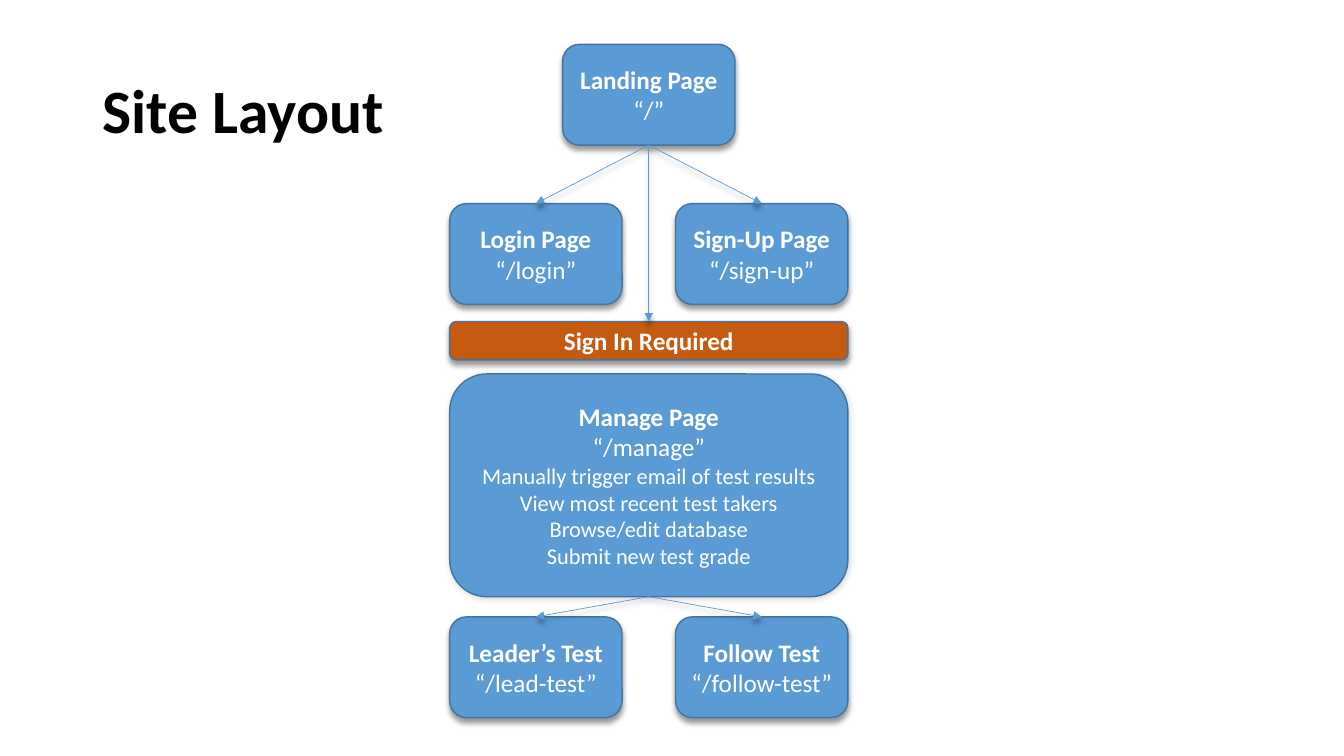
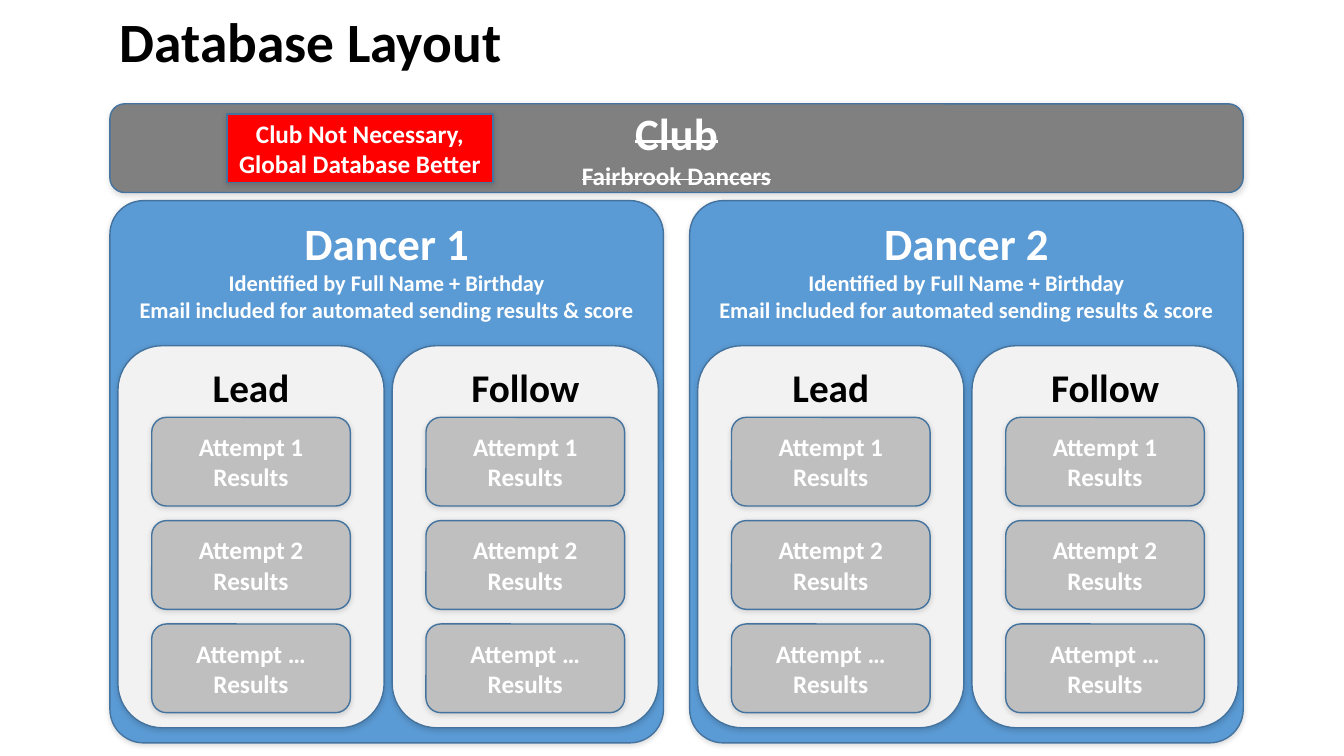
from lxml.etree import SubElement
from pptx import Presentation
from pptx.dml.color import RGBColor
from pptx.enum.shapes import MSO_CONNECTOR, MSO_SHAPE
from pptx.enum.text import MSO_ANCHOR, PP_ALIGN
from pptx.oxml.ns import qn
from pptx.util import Inches, Pt

BLUE = RGBColor(0x5B, 0x9B, 0xD5)
OUTLINE = RGBColor(0x43, 0x73, 0x9E)
ORANGE = RGBColor(0xC5, 0x5A, 0x11)
RED = RGBColor(0xFF, 0x00, 0x00)
DARK_GREY = RGBColor(0x80, 0x80, 0x80)
MID_GREY = RGBColor(0xBF, 0xBF, 0xBF)
PALE_GREY = RGBColor(0xF2, 0xF2, 0xF2)
WHITE = RGBColor(0xFF, 0xFF, 0xFF)
BLACK = RGBColor(0x00, 0x00, 0x00)

FONT = "Calibri"
SOFT = {"opacity": 15, "distance": 1}
STRONG = {"opacity": 40, "distance": 3}
BOTTOM_SITE, TOP_SITE = 2, 0

# Site layout grid: two columns of page boxes
SITE_LEFT, SITE_PITCH = 4.46, 2.24
PAGE_WIDTH, PAGE_HEIGHT = 1.71, 1
SITE_WIDTH = SITE_PITCH + PAGE_WIDTH

# Database grid: dancers hold roles, roles hold attempts
DANCER_LEFT, DANCER_TOP, DANCER_PITCH = 1.09, 1.99, 5.75
DANCER_WIDTH, DANCER_HEIGHT = 5.49, 5.38
ROLE_INSET, ROLE_TOP, ROLE_PITCH = 0.08, 3.43, 2.72
ROLE_WIDTH, ROLE_HEIGHT = 2.64, 3.79
ATTEMPT_WIDTH, ATTEMPT_HEIGHT = 1.97, 0.88
ATTEMPT_TOP, ATTEMPT_PITCH = 4.14, 1.025
ATTEMPT_INSET = (ROLE_WIDTH - ATTEMPT_WIDTH) / 2


def add_shadow(item, opacity, distance):
    """Give a shape or connector a black shadow straight below it."""
    properties = item._element.spPr
    effects = properties.find(qn("a:effectLst"))
    if effects is None:
        effects = SubElement(properties, qn("a:effectLst"))
    shadow = SubElement(effects, qn("a:outerShdw"), {
        "blurRad": str(Pt(4)), "dist": str(Pt(distance)),
        "dir": "5400000", "rotWithShape": "0"})
    colour = SubElement(shadow, qn("a:srgbClr"), val="000000")
    SubElement(colour, qn("a:alpha"), val=str(opacity * 1000))


def write_lines(frame, lines, color, align, spacing=None):
    """Write (text, size, bold) lines, one paragraph each."""
    for index, (text, size, bold) in enumerate(lines):
        para = frame.add_paragraph() if index else frame.paragraphs[0]
        para.alignment = align
        para.line_spacing = spacing
        span = para.add_run()
        span.text = text
        span.font.color.rgb = color
        for name, value in {"name": FONT, "size": Pt(size), "bold": bold}.items():
            setattr(span.font, name, value)


def add_title(page, text, left, top, height, size):
    box = page.shapes.add_textbox(*map(Inches, (left, top, 11.5, height)))
    frame = box.text_frame
    frame.word_wrap = True
    frame.vertical_anchor = MSO_ANCHOR.MIDDLE
    write_lines(frame, [(text, size, True)], BLACK, PP_ALIGN.LEFT, 0.9)


def add_box(shapes, place, lines, fill=BLUE, color=WHITE, shadow=SOFT,
            anchor=MSO_ANCHOR.MIDDLE, kind=MSO_SHAPE.ROUNDED_RECTANGLE):
    box = shapes.add_shape(kind, *map(Inches, place))
    box.fill.solid()
    box.fill.fore_color.rgb = fill
    box.line.color.rgb = OUTLINE
    box.line.width = Pt(1)
    box.shadow.inherit = False
    add_shadow(box, **shadow)
    box.text_frame.word_wrap = True
    box.text_frame.vertical_anchor = anchor
    write_lines(box.text_frame, lines, color, PP_ALIGN.CENTER)
    return box


def add_site_page(page, column, top, name, address):
    place = (SITE_LEFT + column * SITE_PITCH, top, PAGE_WIDTH, PAGE_HEIGHT)
    return add_box(page.shapes, place,
                   [(name, 18, True), (address, 18, False)], shadow=STRONG)


def add_arrow(page, source, target):
    """Join the bottom of one box to the top of another."""
    arrow = page.shapes.add_connector(MSO_CONNECTOR.STRAIGHT, 0, 0, 0, 0)
    arrow.begin_connect(source, BOTTOM_SITE)
    arrow.end_connect(target, TOP_SITE)
    arrow.line.color.rgb = BLUE
    arrow.line.width = Pt(0.5)
    SubElement(arrow.line._get_or_add_ln(), qn("a:tailEnd"), type="triangle")
    add_shadow(arrow, **STRONG)


def add_role(shapes, left, name):
    add_box(shapes, (left, ROLE_TOP, ROLE_WIDTH, ROLE_HEIGHT),
            [(name, 28, True)], PALE_GREY, BLACK, anchor=MSO_ANCHOR.TOP)
    for row, number in enumerate("12…"):
        place = (left + ATTEMPT_INSET, ATTEMPT_TOP + row * ATTEMPT_PITCH,
                 ATTEMPT_WIDTH, ATTEMPT_HEIGHT)
        add_box(shapes, place, [(f"Attempt {number} Results", 18, True)], MID_GREY)


def add_dancer(page, column):
    shapes = page.shapes.add_group_shape().shapes
    left = DANCER_LEFT + column * DANCER_PITCH
    card = add_box(
        shapes, (left, DANCER_TOP, DANCER_WIDTH, DANCER_HEIGHT),
        [(f"Dancer {column + 1}", 32, True),
         ("Identified by Full Name + Birthday", 16, True),
         ("Email included for automated sending results & score", 16, True)],
        anchor=MSO_ANCHOR.TOP)
    card.adjustments[0] = 0.062
    for index, name in enumerate(("Lead", "Follow")):
        add_role(shapes, left + ROLE_INSET + index * ROLE_PITCH, name)


def build_site_layout(page):
    add_title(page, "Site Layout", 0.92, 0.4, 1.45, 44)
    landing = add_site_page(page, 0.5, 0.44, "Landing Page", "“/”")
    login = add_site_page(page, 0, 2.02, "Login Page", "“/login”")
    sign_up = add_site_page(page, 1, 2.02, "Sign-Up Page", "“/sign-up”")
    gate = add_box(page.shapes, (SITE_LEFT, 3.19, SITE_WIDTH, 0.38),
                   [("Sign In Required", 18, True)], ORANGE, shadow=STRONG)
    tasks = ("Manually trigger email of test results",
             "View most recent test takers",
             "Browse/edit database",
             "Submit new test grade")
    manage = add_box(page.shapes, (SITE_LEFT, 3.71, SITE_WIDTH, 2.21),
                     [("Manage Page", 18, True), ("“/manage”", 18, False)]
                     + [(task, 16, False) for task in tasks])
    lead = add_site_page(page, 0, 6.12, "Leader’s Test", "“/lead-test”")
    follow = add_site_page(page, 1, 6.12, "Follow Test", "“/follow-test”")
    for source, targets in ((landing, (login, sign_up, gate)),
                            (manage, (lead, follow))):
        for target in targets:
            add_arrow(page, source, target)


def build_database_layout(page):
    add_title(page, "Database Layout", 1.09, 0.07, 0.75, 39.6)
    club = add_box(page.shapes,
                   (DANCER_LEFT, 1.03, DANCER_PITCH + DANCER_WIDTH, 0.88),
                   [("Club", 32, True), ("Fairbrook Dancers", 18, True)], DARK_GREY)
    for para in club.text_frame.paragraphs:
        for span in para.runs:
            span._r.get_or_add_rPr().set("strike", "sngStrike")
    add_box(page.shapes, (2.25, 1.13, 2.64, 0.68),
            [("Club Not Necessary, Global Database Better", 18, True)],
            RED, kind=MSO_SHAPE.RECTANGLE)
    for column in range(2):
        add_dancer(page, column)


def main():
    deck = Presentation()
    deck.slide_width, deck.slide_height = Inches(13.33), Inches(7.5)
    blank = deck.slide_layouts[6]
    for build in (build_site_layout, build_database_layout):
        build(deck.slides.add_slide(blank))
    deck.save("out.pptx")


if __name__ == "__main__":
    main()
